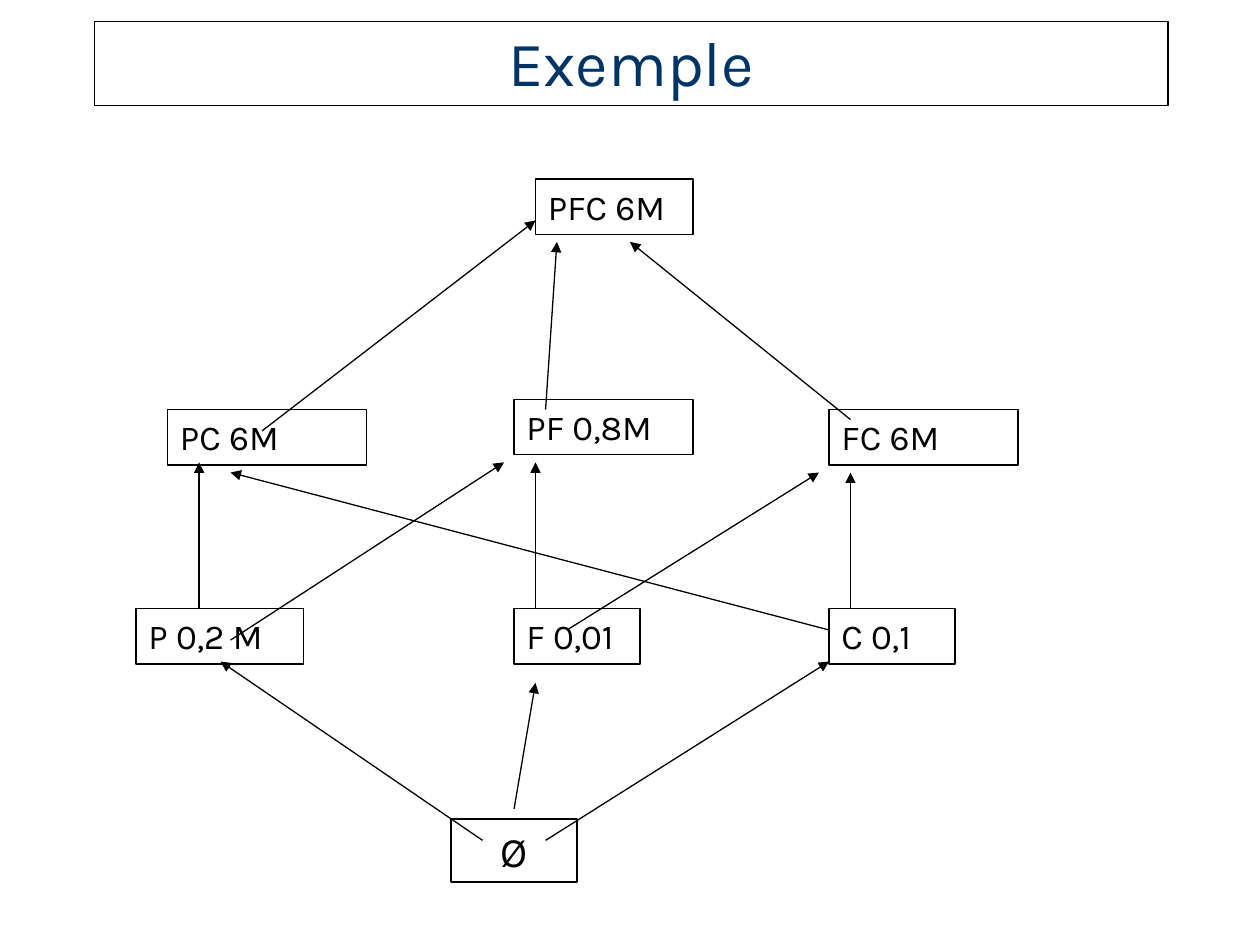
from lxml.etree import SubElement
from pptx import Presentation
from pptx.dml.color import RGBColor
from pptx.enum.shapes import MSO_CONNECTOR, MSO_SHAPE
from pptx.enum.text import MSO_ANCHOR, MSO_AUTO_SIZE, PP_ALIGN
from pptx.oxml.ns import qn
from pptx.util import Inches, Pt

BLACK = RGBColor(0x00, 0x00, 0x00)
NAVY = RGBColor(0x00, 0x33, 0x66)
FONT = "Karla"
LINE_WIDTH = Pt(0.75)

NODES = {
    "PFC": ("PFC 6M", 3.17, 0, 1.25),
    "PF": ("PF 0,8M", 3, 1.75, 1.42),
    "PC": ("PC 6M", 0.25, 1.83, 1.58),
    "FC": ("FC 6M", 5.5, 1.83, 1.5),
    "P": ("P 0,2 M", 0, 3.41, 1.33),
    "F": ("F 0,01", 3, 3.41, 1),
    "C": ("C 0,1", 5.5, 3.41, 1),
    "Ø": ("Ø", 2.5, 5.08, 1),
}
ARROWS = [
    ("Ø", 0.25, 0.17, "P", 0.67, 0.42),
    ("Ø", 0.75, 0.17, "C", 0, 0.42),
    ("Ø", 0.5, -0.08, "F", 0.17, 0.59),
    ("F", 0.17, 0, "PF", 0.17, 0.5),
    ("C", 0.17, 0, "FC", 0.17, 0.5),
    ("P", 0.5, 0, "PC", 0.25, 0.42),
    ("P", 0.75, 0.25, "PF", -0.08, 0.5),
    ("F", 0.42, 0.17, "FC", -0.08, 0.5),
    ("C", 0, 0.17, "PC", 0.5, 0.5),
    ("PC", 0.75, 0.17, "PFC", 0, 0.33),
    ("PF", 0.25, 0.08, "PFC", 0.17, 0.5),
    ("FC", 0.17, 0.08, "PFC", 0.75, 0.5),
]


def write_text(sp, text, size=20, color=BLACK, align=PP_ALIGN.LEFT, anchor=MSO_ANCHOR.TOP):
    """Write one formatted paragraph in a shape."""
    tf = sp.text_frame
    tf.word_wrap = True
    tf.auto_size = MSO_AUTO_SIZE.NONE
    tf.vertical_anchor = anchor
    p = tf.paragraphs[0]
    p.alignment = align
    r = p.add_run()
    r.text = text
    r.font.name = FONT
    r.font.size = Pt(size)
    r.font.color.rgb = color


def outline(sp):
    """Give a shape or connector a thin black line."""
    sp.line.color.rgb = BLACK
    sp.line.width = LINE_WIDTH


def add_title(s, left, top, width, height):
    """Place the framed slide title."""
    sp = s.shapes.title
    sp.left, sp.top = Inches(left), Inches(top)
    sp.width, sp.height = Inches(width), Inches(height)
    outline(sp)
    write_text(sp, "Exemple", size=36, color=NAVY, align=PP_ALIGN.CENTER,
               anchor=MSO_ANCHOR.BOTTOM)


def add_node(s, text, left, top, width, height, **text_format):
    """Draw one framed itemset."""
    sp = s.shapes.add_shape(MSO_SHAPE.RECTANGLE, Inches(left), Inches(top),
                            Inches(width), Inches(height))
    sp.shadow.inherit = False
    sp.fill.background()
    outline(sp)
    write_text(sp, text, **text_format)


def add_arrow(s, x1, y1, x2, y2):
    """Draw a line that ends in a triangular arrowhead."""
    line = s.shapes.add_connector(MSO_CONNECTOR.STRAIGHT, Inches(x1), Inches(y1),
                                  Inches(x2), Inches(y2))
    outline(line)
    SubElement(line.line._get_or_add_ln(), qn("a:tailEnd"), type="triangle")
    SubElement(line._element.spPr, qn("a:effectLst"))


def add_lattice(s, left, top):
    """Draw the itemset lattice from its top left corner."""
    for name, (text, x, y, width) in NODES.items():
        if name == "Ø":
            add_node(s, text, left + x, top + y, width, 0.5, size=24, align=PP_ALIGN.CENTER)
        else:
            add_node(s, text, left + x, top + y, width, 0.44)
    for start, dx1, dy1, end, dx2, dy2 in ARROWS:
        _, x1, y1, _ = NODES[start]
        _, x2, y2, _ = NODES[end]
        add_arrow(s, left + x1 + dx1, top + y1 + dy1, left + x2 + dx2, top + y2 + dy2)


def main():
    """Build and save the presentation."""
    prs = Presentation()
    prs.slide_width, prs.slide_height = Inches(10), Inches(7.5)
    s = prs.slides.add_slide(prs.slide_layouts[5])
    add_title(s, 0.75, 0.17, 8.52, 0.67)
    add_lattice(s, 1.08, 1.42)
    prs.save("out.pptx")


if __name__ == "__main__":
    main()
